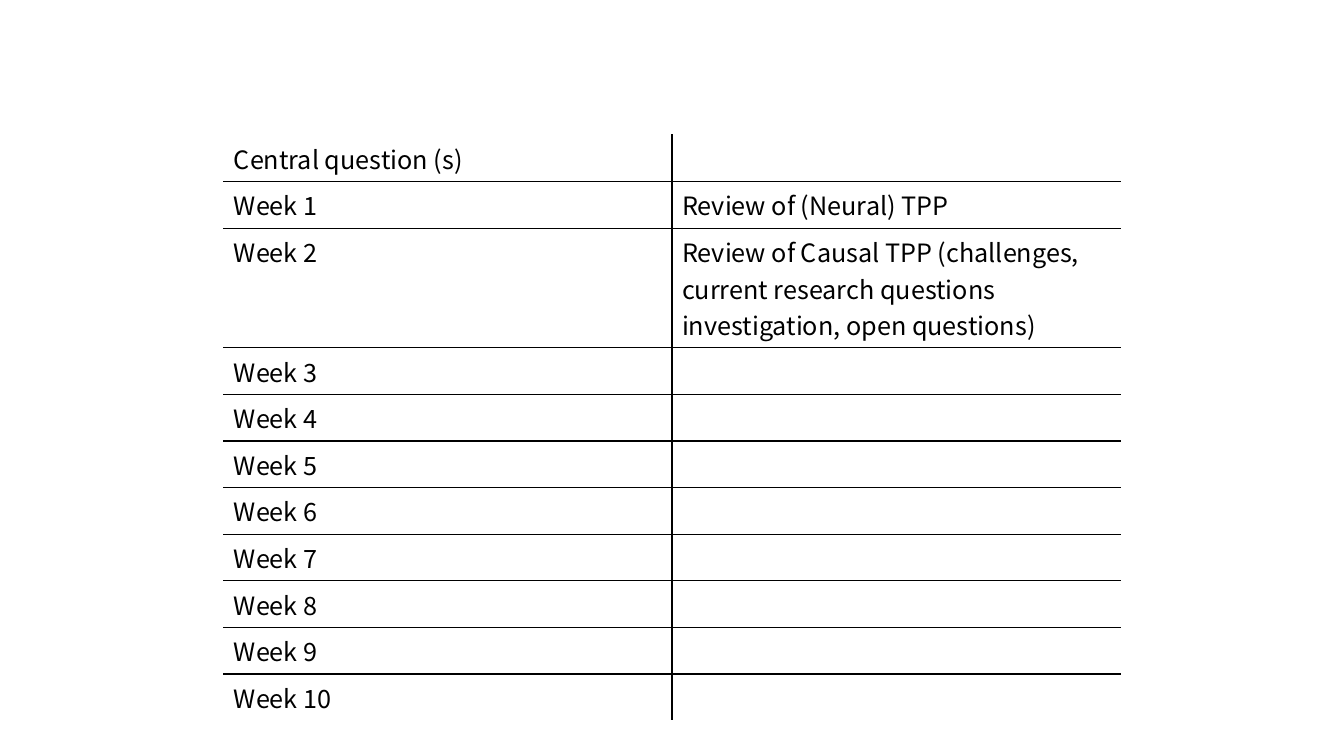
from lxml.etree import SubElement
from pptx import Presentation
from pptx.dml.color import RGBColor
from pptx.oxml.ns import qn
from pptx.util import Inches, Pt

COLORS = {"ink": "000000", "paper": "FFFFFF"}
FONT = {"name": "Noto Sans CJK SC", "size": Pt(18), "bold": False}
TOPICS = {
    1: "Review of (Neural) TPP",
    2: "Review of Causal TPP (challenges, current research questions "
       "investigation, open questions)",
}
WEEKS = 10


def set_text(cell, text):
    para = cell.text_frame.paragraphs[0]
    para.text = text
    # An empty cell keeps its size through the paragraph font
    for font in [para.font] + [run.font for run in para.runs]:
        for key, value in FONT.items():
            setattr(font, key, value)
        font.color.rgb = RGBColor.from_string(COLORS["ink"])


def set_lines(cell, sides):
    props = cell._tc.get_or_add_tcPr()
    for side in "LRTB":
        line = SubElement(props, qn(f"a:ln{side}"), w=str(Pt(1)))
        fill = SubElement(line, qn("a:solidFill"))
        SubElement(fill, qn("a:srgbClr"), val=COLORS[sides[side]])
    # The fill comes after the borders
    cell.fill.background()


def add_plan(slide, rows):
    frame = slide.shapes.add_table(
        len(rows), 2, Inches(2.22), Inches(1.34),
        Inches(8.89), Inches(0.41 * len(rows)))
    table = frame.table
    for flag in ("first_row", "horz_banding"):
        setattr(table, flag, False)
    for col in table.columns:
        col.width = Inches(4.445)
    for row in table.rows:
        row.height = Inches(0.41)

    # Inner borders are dark, outer ones blend into the page
    last = len(rows) - 1
    for r, texts in enumerate(rows):
        for c, text in enumerate(texts):
            outer = {"L": c == 0, "R": c == 1, "T": r == 0, "B": r == last}
            cell = table.cell(r, c)
            set_text(cell, text)
            set_lines(cell, {side: "paper" if edge else "ink"
                             for side, edge in outer.items()})


def main():
    deck = Presentation()
    deck.slide_width, deck.slide_height = Inches(13.33), Inches(7.5)
    slide = deck.slides.add_slide(deck.slide_layouts[6])

    # Heading row, then one row per week
    rows = [("Central question (s)", "")]
    rows += [(f"Week {n}", TOPICS.get(n, "")) for n in range(1, WEEKS + 1)]
    add_plan(slide, rows)
    deck.save("out.pptx")


if __name__ == "__main__":
    main()
